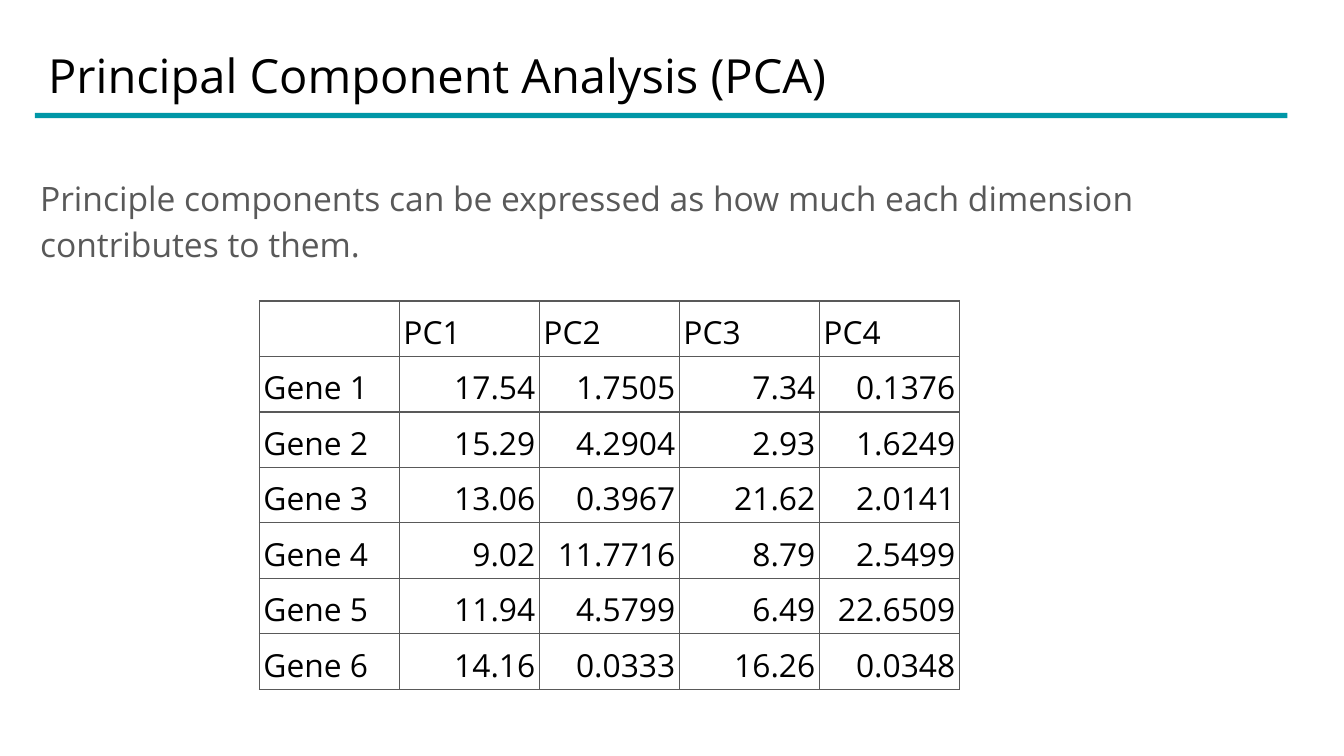
import dataclasses

import pptx
import pptx.dml.color
import pptx.enum.shapes
import pptx.enum.text
import pptx.oxml
import pptx.oxml.ns
import pptx.util

Inches = pptx.util.Inches
Pt = pptx.util.Pt
RGB = pptx.dml.color.RGBColor.from_string
ALIGN = pptx.enum.text.PP_ALIGN
ANCHOR = pptx.enum.text.MSO_ANCHOR


@dataclasses.dataclass(frozen=True)
class Theme:
    font: str = "Open Sans"
    ink: str = "000000"
    gray: str = "595959"
    teal: str = "0097A7"
    title: float = 25.2
    body: float = 18
    cell: float = 17
    border: float = 0.75


T = Theme()


def write(tf, text, *, size, color=T.ink, align=ALIGN.LEFT, spacing=1.0, after=0):
    tf.word_wrap = True
    p = tf.paragraphs[0]
    p.alignment = align
    p.line_spacing = spacing
    p.space_after = Pt(after)
    r = p.add_run()
    r.text = text
    r.font.name = T.font
    r.font.size = Pt(size)
    r.font.color.rgb = RGB(color)


def add_borders(cell):
    """Outline all four sides; call before setting the fill."""
    for side in ("lnL", "lnR", "lnT", "lnB"):
        cell._tc.get_or_add_tcPr().append(pptx.oxml.parse_xml(
            f'<a:{side} {pptx.oxml.ns.nsdecls("a")} w="{Pt(T.border)}">'
            f'<a:solidFill><a:srgbClr val="{T.gray}"/></a:solidFill></a:{side}>'))


prs = pptx.Presentation()
prs.slide_width = Inches(10)
prs.slide_height = Inches(10) * 9 // 16
s = prs.slides.add_slide(prs.slide_layouts[6])

# Title, rule and statement
title = s.shapes.add_textbox(Inches(0.26), Inches(0.24), Inches(9.32), Inches(0.63))

rule = s.shapes.add_shape(pptx.enum.shapes.MSO_SHAPE.RECTANGLE,
                          Inches(0.26), Inches(0.84), Inches(9.32), Inches(0.04))
rule.shadow.inherit = False
rule.fill.solid()
rule.fill.fore_color.rgb = RGB(T.teal)
rule.line.fill.background()

statement = s.shapes.add_textbox(Inches(0.2), Inches(1.18), Inches(9.6), Inches(0.94))

for box in (title, statement):
    tf = box.text_frame
    tf.margin_left = tf.margin_right = tf.margin_top = tf.margin_bottom = Inches(0.1)
title.text_frame.vertical_anchor = ANCHOR.MIDDLE
statement.text_frame.vertical_anchor = ANCHOR.TOP
write(title.text_frame, "Principal Component Analysis (PCA)", size=T.title)
write(statement.text_frame,
      "Principle components can be expressed as how much each dimension "
      "contributes to them.",
      size=T.body, color=T.gray, spacing=1.15, after=12)

# Contribution of each gene to each component
rows = [
    ("", "PC1", "PC2", "PC3", "PC4"),
    ("Gene 1", "17.54", "1.7505", "7.34", "0.1376"),
    ("Gene 2", "15.29", "4.2904", "2.93", "1.6249"),
    ("Gene 3", "13.06", "0.3967", "21.62", "2.0141"),
    ("Gene 4", "9.02", "11.7716", "8.79", "2.5499"),
    ("Gene 5", "11.94", "4.5799", "6.49", "22.6509"),
    ("Gene 6", "14.16", "0.0333", "16.26", "0.0348"),
]
table_w, table_h = Inches(5.21), Inches(2.89)
table = s.shapes.add_table(len(rows), len(rows[0]), Inches(1.93), Inches(2.24),
                           table_w, table_h).table
table.first_row = table.horz_banding = False

for i, row in enumerate(rows):
    for j, text in enumerate(row):
        cell = table.cell(i, j)
        cell.margin_left = cell.margin_right = Inches(0.03)
        cell.margin_top = cell.margin_bottom = Inches(0.02)
        cell.vertical_anchor = ANCHOR.BOTTOM
        add_borders(cell)
        cell.fill.background()
        if text:
            write(cell.text_frame, text, size=T.cell, spacing=1.15,
                  align=ALIGN.RIGHT if i and j else ALIGN.LEFT)

prs.save("out.pptx")
